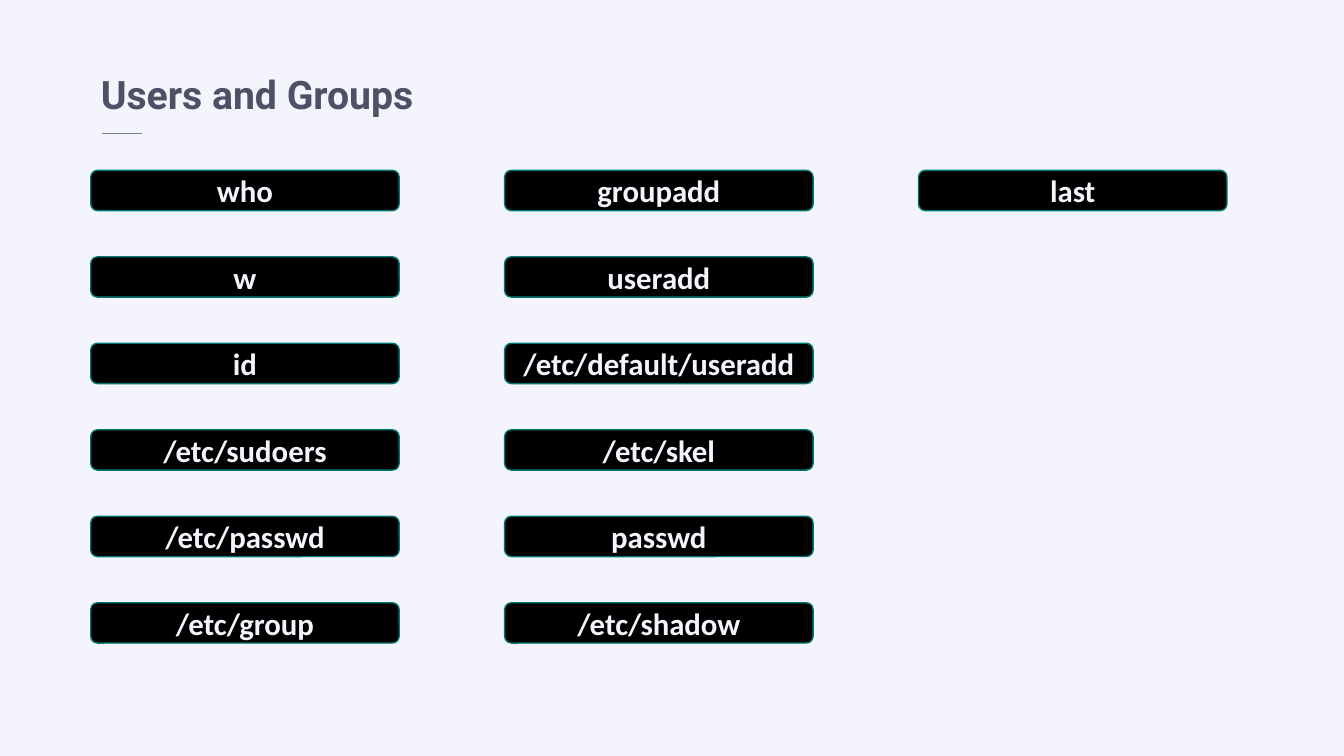
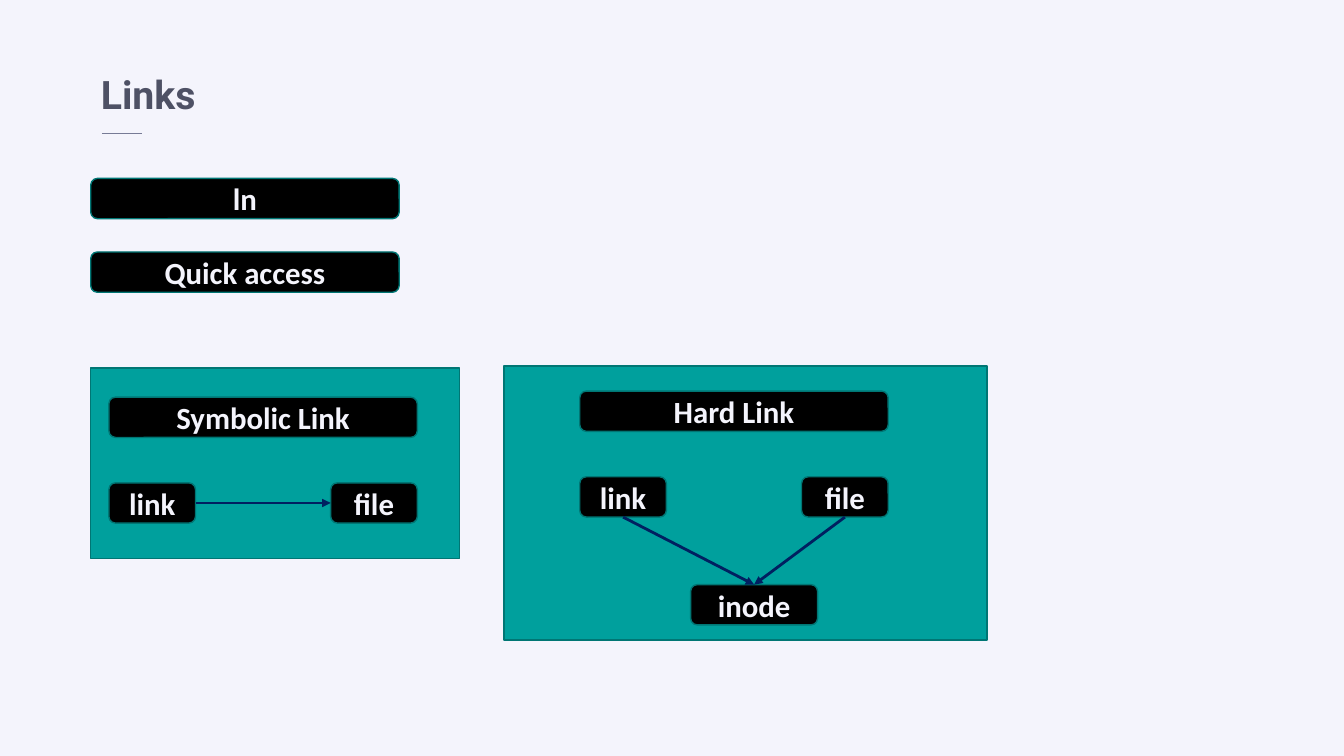
from dataclasses import dataclass

from lxml import etree
from pptx import Presentation
from pptx.dml.color import RGBColor
from pptx.enum.shapes import MSO_CONNECTOR, MSO_SHAPE
from pptx.enum.text import MSO_ANCHOR, MSO_AUTO_SIZE, PP_ALIGN
from pptx.oxml.ns import qn
from pptx.util import Pt

EMU_PER_PX = 9144
TITLE_ONLY = 5
RECTANGLE = MSO_SHAPE.RECTANGLE
ROUNDED = MSO_SHAPE.ROUNDED_RECTANGLE
STRAIGHT = MSO_CONNECTOR.STRAIGHT
LEFT, CENTER = PP_ALIGN.LEFT, PP_ALIGN.CENTER
TOP, MIDDLE = MSO_ANCHOR.TOP, MSO_ANCHOR.MIDDLE
GROW = MSO_AUTO_SIZE.SHAPE_TO_FIT_TEXT
TOP_SITE, LEFT_SITE, BOTTOM_SITE, RIGHT_SITE = range(4)

MARGIN = 90
LABEL_WIDTH, LABEL_HEIGHT = 306, 40
NODE_WIDTH = 86


@dataclass(frozen=True)
class Theme:
    background: str = "F4F4FC"
    title: str = "4E5165"
    rule: str = "777B96"
    label: str = "000000"
    label_text: str = "F4F4FC"
    outline: str = "007674"
    panel: str = "00A09D"
    arrow: str = "002060"
    title_font: str = "Roboto"
    label_font: str = "Calibri"
    title_size: int = 28
    label_size: int = 22


THEME = Theme()


def px(length):
    return round(length * EMU_PER_PX)


def color(value):
    return RGBColor.from_string(value)


def write_text(shape, text, *, font, size, fill, align=CENTER, anchor=MIDDLE):
    frame = shape.text_frame
    frame.text = text
    frame.vertical_anchor = anchor
    paragraph = frame.paragraphs[0]
    paragraph.alignment = align
    style = paragraph.runs[0].font
    style.name = font
    style.size = Pt(size)
    style.bold = True
    style.color.rgb = color(fill)


def add_box(slide, preset, left, top, width, height, fill):
    box = slide.shapes.add_shape(preset, px(left), px(top), px(width), px(height))
    box.shadow.inherit = False
    box.fill.solid()
    box.fill.fore_color.rgb = color(fill)
    box.line.color.rgb = color(THEME.outline)
    box.line.width = Pt(1)
    return box


def add_panel(slide, left, top, width, height):
    add_box(slide, RECTANGLE, left, top, width, height, THEME.panel)


def add_label(slide, text, left, top, width=LABEL_WIDTH):
    label = add_box(slide, ROUNDED, left, top, width, LABEL_HEIGHT, THEME.label)
    label.text_frame.word_wrap = True
    write_text(label, text, font=THEME.label_font, size=THEME.label_size,
               fill=THEME.label_text)
    return label


def add_line(slide, start, end, stroke, weight):
    line = slide.shapes.add_connector(STRAIGHT, *map(px, start + end))
    line.line.color.rgb = color(stroke)
    line.line.width = Pt(weight)
    etree.SubElement(line.element.spPr, qn("a:effectLst"))
    return line


def add_arrow(slide, source, source_site, target, target_site):
    arrow = add_line(slide, (0, 0), (0, 0), THEME.arrow, 2)
    arrow.begin_connect(source, source_site)
    arrow.end_connect(target, target_site)
    outline = arrow.element.spPr.find(qn("a:ln"))
    etree.SubElement(outline, qn("a:tailEnd"), type="triangle")


def add_titled_slide(deck, text, title_width):
    slide = deck.slides.add_slide(deck.slide_layouts[TITLE_ONLY])
    title = slide.shapes.title
    title.left, title.top = px(MARGIN), px(65)
    title.width, title.height = px(title_width), px(57)
    title.text_frame.word_wrap = False
    title.text_frame.auto_size = GROW
    write_text(title, text, font=THEME.title_font, size=THEME.title_size,
               fill=THEME.title, align=LEFT, anchor=TOP)
    add_line(slide, (101, 132), (141, 132), THEME.rule, 0.25)
    return slide


def add_link_pair(slide, heading, left, top):
    node_top = top + 85
    add_label(slide, heading, left, top)
    link = add_label(slide, "link", left, node_top, NODE_WIDTH)
    file = add_label(slide, "file", left + LABEL_WIDTH - NODE_WIDTH, node_top, NODE_WIDTH)
    return link, file


def build_users_and_groups(deck):
    slide = add_titled_slide(deck, "Users and Groups", 361)
    columns = (
        ("who", "w", "id", "/etc/sudoers", "/etc/passwd", "/etc/group"),
        ("groupadd", "useradd", "/etc/default/useradd", "/etc/skel", "passwd",
         "/etc/shadow"),
        ("last",),
    )
    first_top, last_top = 169, 598
    row_pitch = (last_top - first_top) / (len(columns[0]) - 1)
    column_pitch = 410.5
    for column, commands in enumerate(columns):
        for row, command in enumerate(commands):
            add_label(slide, command, MARGIN + column * column_pitch,
                      first_top + row * row_pitch)


def build_links(deck):
    slide = add_titled_slide(deck, "Links", 123)
    for row, text in enumerate(("ln", "Quick access")):
        add_label(slide, text, MARGIN, 177 + row * 73)

    add_panel(slide, MARGIN, 365, 366, 189)
    link, file = add_link_pair(slide, "Symbolic Link", 108, 394)
    add_arrow(slide, link, RIGHT_SITE, file, LEFT_SITE)

    add_panel(slide, 500, 363, 479, 272)
    hard_links = add_link_pair(slide, "Hard Link", 575, 388)
    inode = add_label(slide, "inode", 685, 580, 126)
    for entry in hard_links:
        add_arrow(slide, entry, BOTTOM_SITE, inode, TOP_SITE)


def main():
    deck = Presentation()
    deck.slide_width, deck.slide_height = px(1333), px(750)
    backdrop = deck.slide_master.background.fill
    backdrop.solid()
    backdrop.fore_color.rgb = color(THEME.background)
    build_users_and_groups(deck)
    build_links(deck)
    deck.save("out.pptx")


if __name__ == "__main__":
    main()
